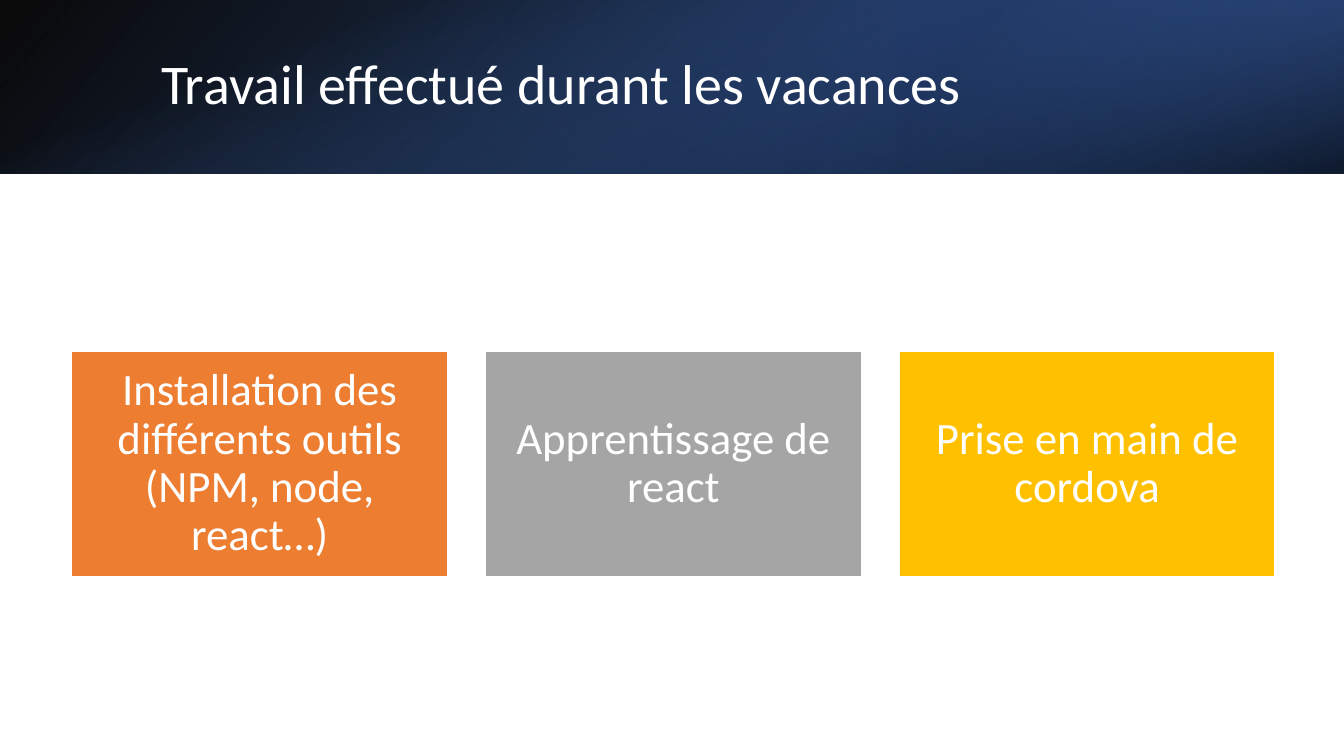
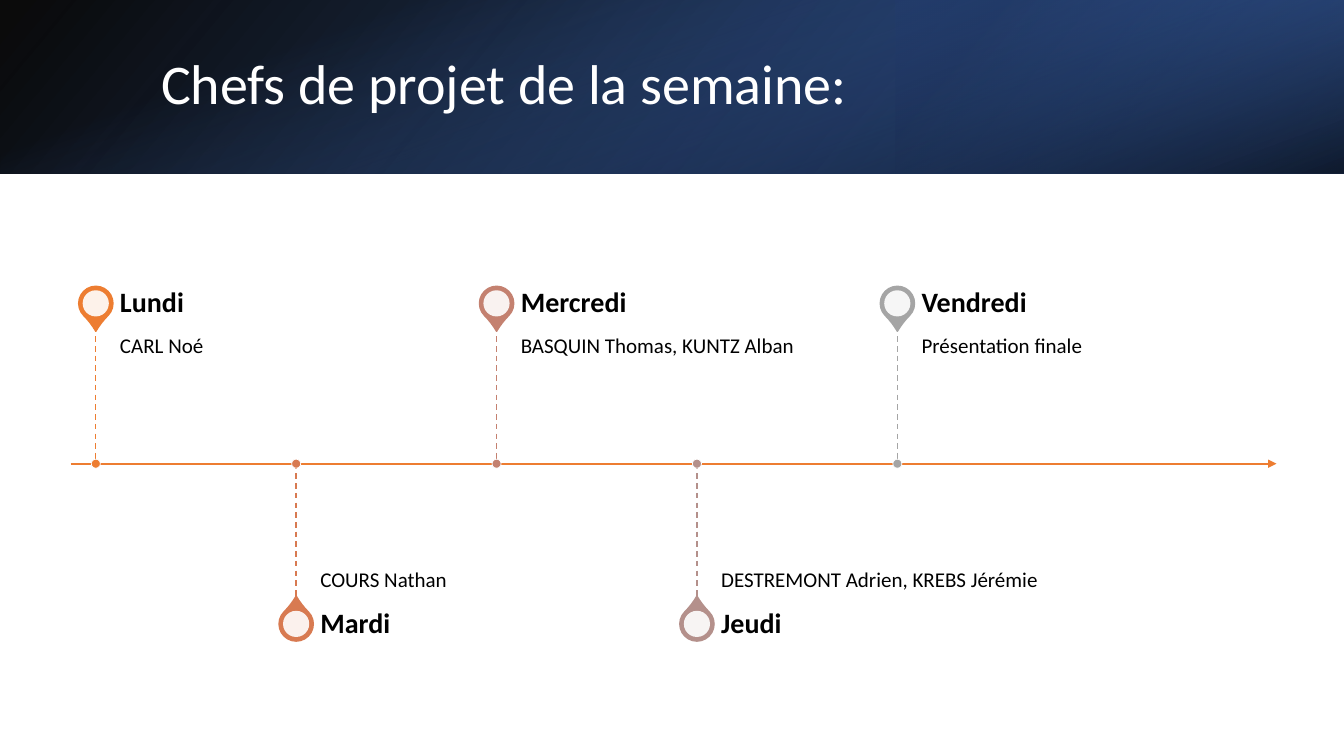
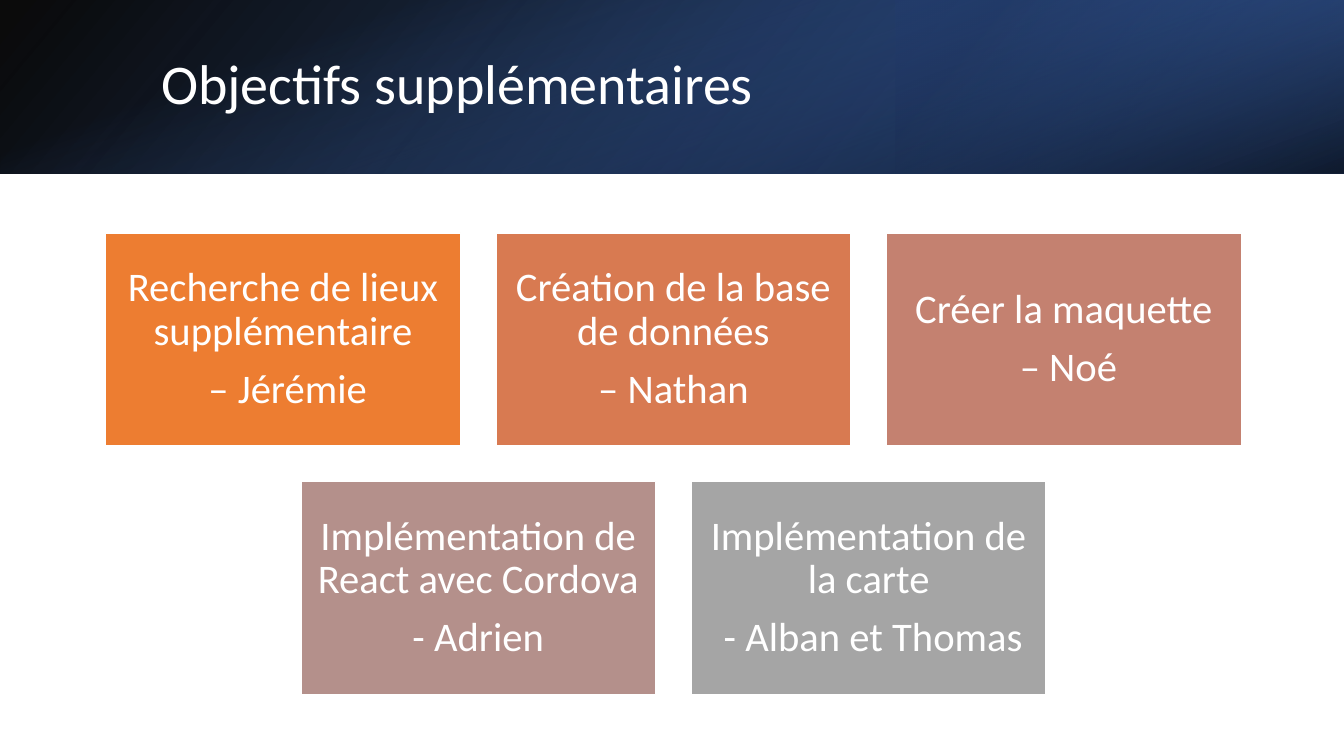
from lxml.etree import SubElement as Sub
from pptx import Presentation
from pptx.dml.color import RGBColor
from pptx.enum.dml import MSO_LINE as Dash
from pptx.enum.shapes import MSO_CONNECTOR as Link, MSO_SHAPE as Kind
from pptx.enum.text import MSO_ANCHOR as Anchor, PP_ALIGN as Align
from pptx.oxml.ns import qn
from pptx.util import Inches, Pt

FONT = "Calibri"
WHITE, BLACK = "FFFFFF", "000000"
ORANGE, GRAY, GOLD = "ED7D31", "A5A5A5", "FFC000"
RAMP = [ORANGE, "D87A51", "C48170", "B4908B", GRAY]
WIDE, HIGH, BAND = 13.33, 7.5, 1.72
MID_X, MID_Y = 6.68, 4.6  # centre of the area below the band


def paint(part, color):
    """Give a fill or a line one solid colour."""
    fill = getattr(part, "fill", part)
    fill.solid()
    fill.fore_color.rgb = RGBColor.from_string(color)


def fade(shape, *alphas):
    """Set the opacity, in percent, of each fill colour in turn."""
    for node, alpha in zip(shape.element.spPr.iter(qn("a:srgbClr")), alphas):
        Sub(node, qn("a:alpha")).set("val", str(alpha * 1000))


def add_shape(slide, kind, box, fill=None, line=None, width=1):
    """Add a flat preset shape; box is left, top, width, height."""
    shape = slide.shapes.add_shape(kind, *map(Inches, box))
    shape.shadow.inherit = False
    if fill:
        paint(shape.fill, fill)
    if line:
        paint(shape.line, line)
        shape.line.width = Pt(width)
    else:
        shape.line.fill.background()
    return shape


def add_round(slide, kind, x, y, size, *style):
    """Add a square-framed shape centred on a point."""
    return add_shape(slide, kind, (x - size / 2, y - size / 2, size, size), *style)


def add_line(slide, start, end, color, width):
    """Add a straight line without a shadow."""
    line = slide.shapes.add_connector(Link.STRAIGHT, *map(Inches, start + end))
    paint(line.line, color)
    line.line.width = Pt(width)
    Sub(line.element.spPr, qn("a:effectLst"))
    return line


def write(shape, lines, size, color, pads, anchor=Anchor.MIDDLE,
          align=Align.LEFT, bold=False):
    """Fill a shape with paragraphs of one style; pads run left to bottom."""
    frame = shape.text_frame
    frame.word_wrap = True
    frame.vertical_anchor = anchor
    (frame.margin_left, frame.margin_top,
     frame.margin_right, frame.margin_bottom) = map(Inches, pads)
    for i, text in enumerate(lines):
        para = frame.add_paragraph() if i else frame.paragraphs[0]
        para.text = text
        para.alignment = align
        para.line_spacing = 0.9
        para.space_after = Pt(round(size * 0.35))
        font = para.font
        font.name, font.size, font.bold = FONT, Pt(size), bold
        font.color.rgb = RGBColor.from_string(color)


def add_text(slide, box, *args, **style):
    """Add a text box."""
    write(slide.shapes.add_textbox(*map(Inches, box)), *args, **style)


def add_glow(slide, box, turn, flip, angle, *stops):
    """Add a gradient layer; a stop is place, colour, opacity."""
    layer = add_shape(slide, Kind.RECTANGLE, box)
    layer.rotation = turn
    if flip:
        layer.element.spPr.xfrm.set("flipH", "1")
    fill = layer.fill
    fill.gradient()
    fill.gradient_angle = 360 - angle
    for stop, (place, color, _) in zip(fill.gradient_stops, stops):
        stop.position = place
        stop.color.rgb = RGBColor.from_string(color)
    fade(layer, *(alpha for _, _, alpha in stops))


def add_page(deck, title):
    """Add a slide with the dark band and its title."""
    slide = deck.slides.add_slide(deck.slide_layouts[6])
    third, shift = WIDE / 3, (WIDE - BAND) / 2
    add_glow(slide, (0, 0, WIDE, BAND), 0, True, 140,
             (0, BLACK, 96), (1, "2F5597", 100))
    add_glow(slide, (WIDE - third, 0, third, BAND), 180, True, 320,
             (0.19, "203864", 68), (1, "4472C4", 79))
    add_glow(slide, (shift, -shift, BAND, WIDE), 90, False, 340,
             (0.23, "4472C4", 0), (0.99, BLACK, 74))
    add_text(slide, (1.5, 0.38, 10.98, 0.96), [title], 40, WHITE,
             (0.1, 0.05, 0.1, 0.05))
    return slide


def add_cards(slide, rows, colors, wide, size, pad):
    """Add centred rows of cards, with gaps a tenth of the card width."""
    high, gap = wide * 0.6, wide * 0.1
    hues = iter(colors)
    top = MID_Y - (len(rows) * (high + gap) - gap) / 2
    for i, row in enumerate(rows):
        left = MID_X - (len(row) * (wide + gap) - gap) / 2
        for j, lines in enumerate(row):
            box = (left + j * (wide + gap), top + i * (high + gap), wide, high)
            card = add_shape(slide, Kind.RECTANGLE, box, next(hues), WHITE)
            write(card, lines, size, WHITE, [pad] * 4, align=Align.CENTER)


def add_day(slide, x, side, color, day, names):
    """Add a pin with its day and names; side is -1 above the axis, 1 below."""
    above = side < 0
    pin_y, reach = MID_Y + side * 1.59, 1.36
    drop = add_round(slide, Kind.TEAR, x, pin_y, 0.34, color, color)
    drop.adjustments[0] = 1.15
    drop.rotation = 135 if above else 315
    fade(add_round(slide, Kind.OVAL, x, pin_y, 0.26, WHITE), 90)
    left, wide = x + 0.24, 3.31
    add_text(slide, (left, MID_Y - reach if above else MID_Y, wide, reach),
             [names], 15, BLACK,
             (0, 0.1, 0.1, 0.16) if above else (0, 0.16, 0, 0.1),
             anchor=Anchor.TOP if above else Anchor.BOTTOM)
    add_text(slide, (left, pin_y - 0.24, wide, 0.48), [day], 20, BLACK,
             (0, 0, 0.14, 0), bold=True)
    ends = sorted([MID_Y, MID_Y + side * reach])
    stem = add_line(slide, (x, ends[0]), (x, ends[1]), color, 1)
    stem.line.dash_style = Dash.DASH
    add_round(slide, Kind.OVAL, x, MID_Y, 0.09, color, WHITE, 0.5)


def add_week(slide, days):
    """Add the time axis and its days, above and below in turn."""
    axis = add_line(slide, (0.7, MID_Y), (12.66, MID_Y), ORANGE, 1.5)
    Sub(axis.get_or_add_ln(), qn("a:tailEnd")).set("type", "triangle")
    first, last = 0.95, 8.9
    step = (last - first) / (len(days) - 1)
    for i, (color, (day, names)) in enumerate(zip(RAMP, days)):
        add_day(slide, first + i * step, 1 if i % 2 else -1, color, day, names)


def main():
    """Build and save the deck."""
    deck = Presentation()
    deck.slide_width, deck.slide_height = Inches(WIDE), Inches(HIGH)

    work = add_page(deck, "Travail effectué durant les vacances")
    add_cards(work, [[
        ["Installation des différents outils (NPM, node, react…)"],
        ["Apprentissage de react"],
        ["Prise en main de cordova"],
    ]], [ORANGE, GRAY, GOLD], 3.73, 32, 0.13)

    week = add_page(deck, "Chefs de projet de la semaine:")
    add_week(week, [
        ("Lundi", "CARL Noé"),
        ("Mardi", "COURS Nathan"),
        ("Mercredi", "BASQUIN Thomas, KUNTZ Alban"),
        ("Jeudi", "DESTREMONT Adrien, KREBS Jérémie"),
        ("Vendredi", "Présentation finale"),
    ])

    goals = add_page(deck, "Objectifs supplémentaires")
    add_cards(goals, [
        [["Recherche de lieux supplémentaire", " – Jérémie"],
         ["Création de la base de données", "– Nathan"],
         ["Créer la maquette", " – Noé"]],
        [["Implémentation de React avec Cordova", "- Adrien"],
         ["Implémentation de la carte", " - Alban et Thomas"]],
    ], RAMP, 3.52, 29, 0.12)

    deck.save("out.pptx")


main()
